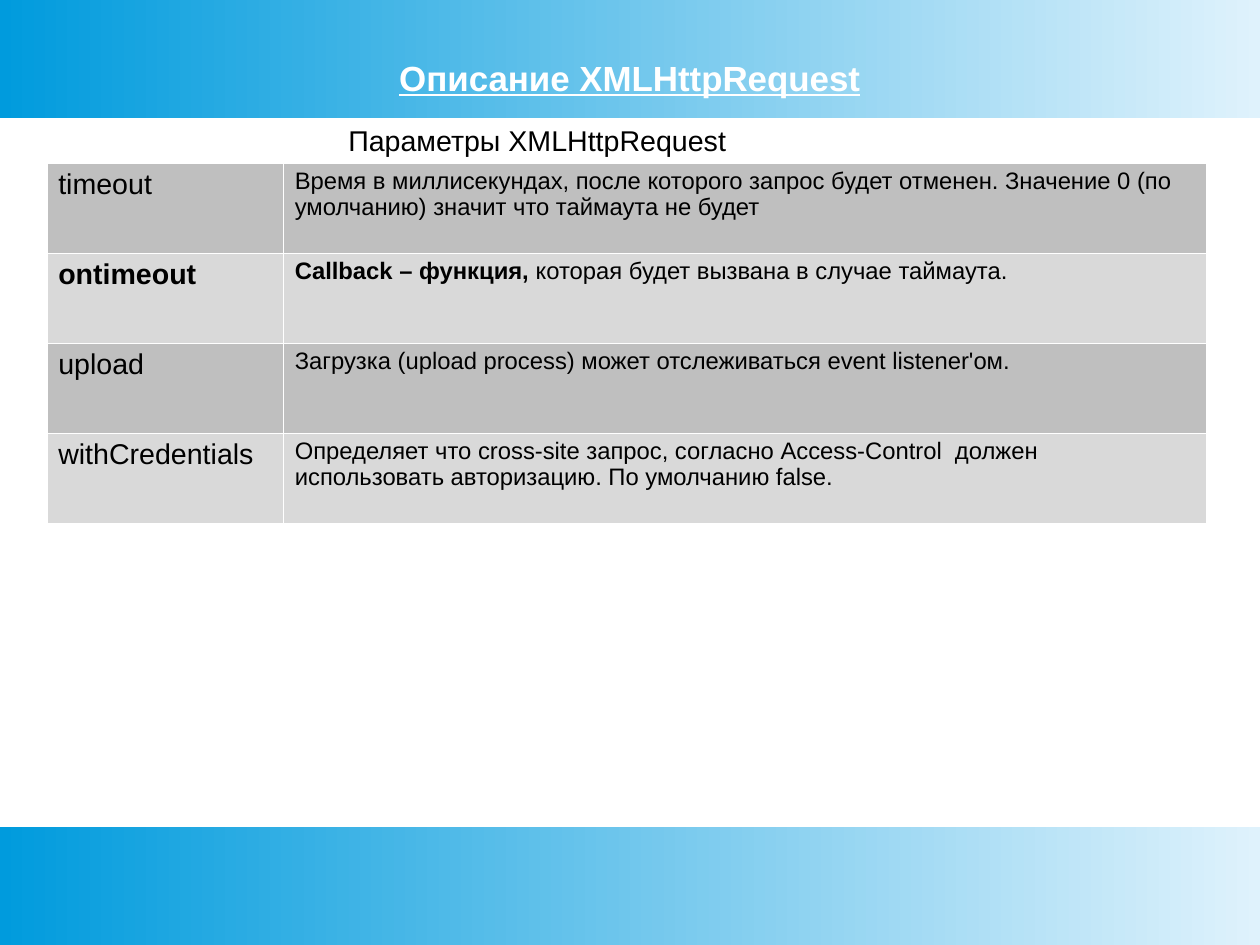
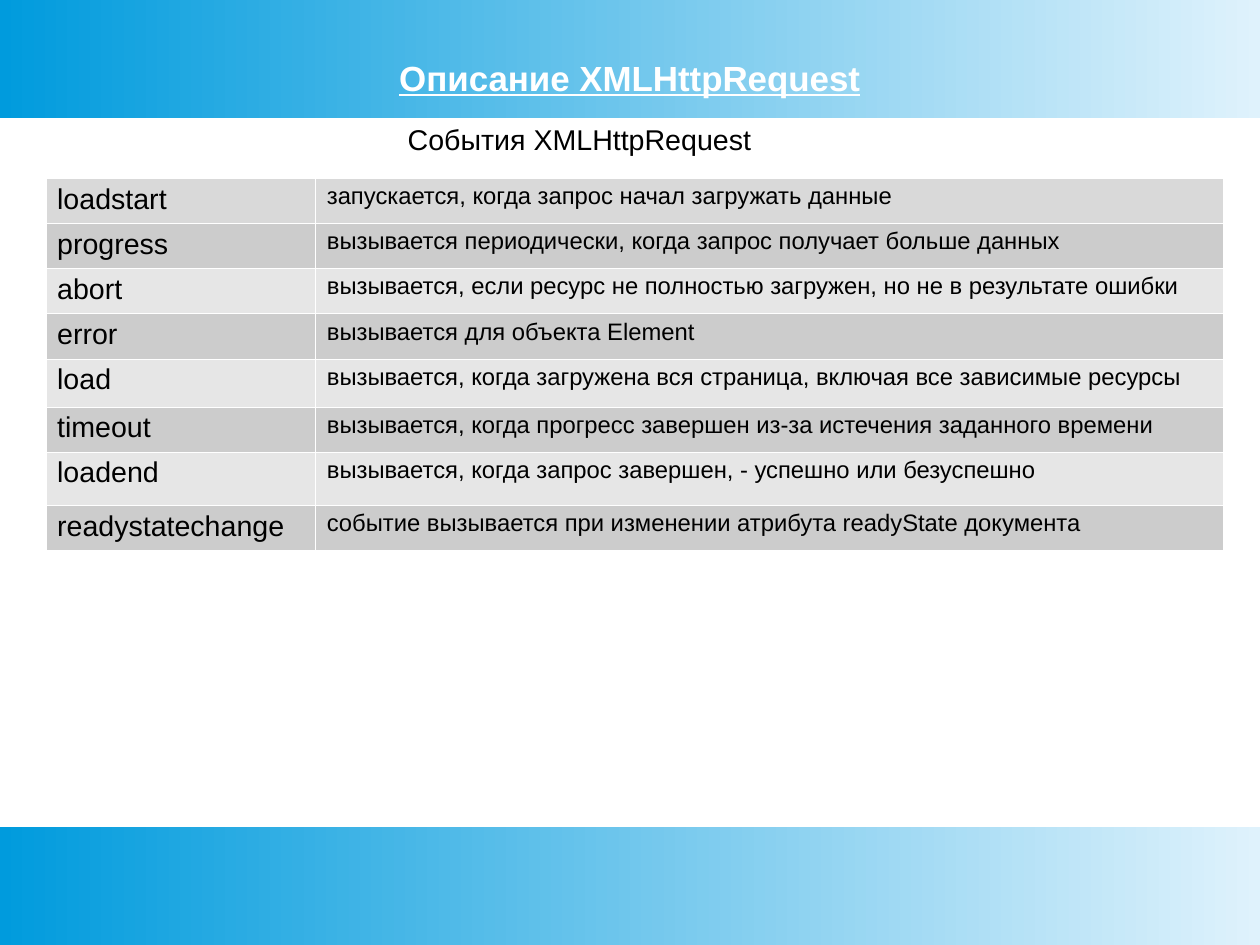
"""Build two slides describing the parameters and events of XMLHttpRequest."""
import lxml.etree
import pptx
import pptx.dml.color
import pptx.enum.shapes
import pptx.enum.text
import pptx.oxml.ns
import pptx.util

Inches = pptx.util.Inches
RGBColor = pptx.dml.color.RGBColor
ALIGN = pptx.enum.text.PP_ALIGN
ANCHOR = pptx.enum.text.MSO_ANCHOR

BLACK = RGBColor(0x00, 0x00, 0x00)
WHITE = RGBColor(0xFF, 0xFF, 0xFF)
BLUE = RGBColor(0x00, 0x9B, 0xDD)
PALE_BLUE = RGBColor(0xDF, 0xF2, 0xFC)
DARK_GREY = RGBColor(0xBF, 0xBF, 0xBF)
GREY = RGBColor(0xCC, 0xCC, 0xCC)
LIGHT_GREY = RGBColor(0xD9, 0xD9, 0xD9)
PALE_GREY = RGBColor(0xE6, 0xE6, 0xE6)

FONT = "Arial"
CM_PER_INCH = 2.54
WIDTH, HEIGHT = 28 / CM_PER_INCH, 21 / CM_PER_INCH
BAND_HEIGHT = 1.03
TITLE = "Описание XMLHttpRequest"
TITLE_BOX = (0.55, 0.33, 9.92, 0.69)
BORDER_WIDTH = pptx.util.Pt(0.06)

TOPICS = [
    {
        "heading": "Параметры XMLHttpRequest",
        "heading_box": (1.7, 1.03, 6, 0.38),
        "corner": (0.41, 1.43),
        "columns": (2.07, 8.07),
        "row_heights": [3.15 / 4] * 4,
        "first_fill": DARK_GREY,
        "fills": (DARK_GREY, LIGHT_GREY),
        "rows": [
            ("timeout", "Время в миллисекундах, после которого запрос будет отменен. "
                        "Значение 0 (по умолчанию) значит что таймаута не будет"),
            ([("ontimeout", True)],
             [("Callback – функция, ", True),
              ("которая будет вызвана в случае таймаута.", False)]),
            ("upload", "Загрузка (upload process) может отслеживаться event listener'ом."),
            ("withCredentials", "Определяет что cross-site запрос, согласно Access-Control  должен "
                                "использовать авторизацию. По умолчанию false."),
        ],
    },
    {
        "heading": "События XMLHttpRequest",
        "heading_box": (2.52, 1.02, 5.1, 0.38),
        "corner": (0.4, 1.56),
        "columns": (2.36, 7.94),
        "row_heights": [0.38, 0.38, 0.38, 0.38, 0.42, 0.38, 0.47, 0.38],
        "first_fill": LIGHT_GREY,
        "fills": (PALE_GREY, GREY),
        "rows": [
            ("loadstart", "запускается, когда запрос начал загружать данные"),
            ("progress", "вызывается периодически, когда запрос получает больше данных"),
            ("abort", "вызывается, если ресурс не полностью загружен, но не в результате ошибки"),
            ("error", "вызывается для объекта Element"),
            ("load", "вызывается, когда загружена вся страница, включая все зависимые ресурсы"),
            ("timeout", "вызывается, когда прогресс завершен из-за истечения заданного времени"),
            ("loadend", "вызывается, когда запрос завершен, - успешно или безуспешно"),
            ("readystatechange", "событие вызывается при изменении атрибута readyState документа"),
        ],
    },
]


def write_text(frame, text, size=18, color=BLACK, bold=False, underline=False,
               align=ALIGN.LEFT, spacing=None):
    """Write a string, or a list of (string, bold) runs, as one paragraph."""
    frame.word_wrap = True
    paragraph = frame.paragraphs[0]
    paragraph.alignment = align
    paragraph.line_spacing = spacing
    for words, is_bold in [(text, bold)] if isinstance(text, str) else text:
        run = paragraph.add_run()
        run.text = words
        run.font.name = FONT
        run.font.size = pptx.util.Pt(size)
        run.font.bold = is_bold
        run.font.underline = underline
        run.font.color.rgb = color


def add_box(slide, box):
    """Add an empty text box and return its frame."""
    return slide.shapes.add_textbox(*map(Inches, box)).text_frame


def put_bands_on_layout(layout, slide):
    """Draw the top and bottom bands and move them to the shared layout."""
    for placeholder in list(layout.placeholders):
        placeholder.element.getparent().remove(placeholder.element)
    for top in (0, HEIGHT - BAND_HEIGHT):
        band = slide.shapes.add_shape(
            pptx.enum.shapes.MSO_SHAPE.RECTANGLE,
            0, Inches(top), Inches(WIDTH), Inches(BAND_HEIGHT))
        band.shadow.inherit = False
        band.line.fill.background()
        band.fill.gradient()
        band.fill.gradient_angle = 180
        for stop, color in zip(band.fill.gradient_stops, (PALE_BLUE, BLUE)):
            stop.color.rgb = color
        layout.element.cSld.spTree.append(band.element)


def add_borders(cell):
    """Give a cell thin white borders on all sides."""
    qn = pptx.oxml.ns.qn
    properties = cell._tc.get_or_add_tcPr()
    for side in ("a:lnL", "a:lnR", "a:lnT", "a:lnB"):
        line = lxml.etree.SubElement(properties, qn(side), w=str(int(BORDER_WIDTH)))
        fill = lxml.etree.SubElement(line, qn("a:solidFill"))
        lxml.etree.SubElement(fill, qn("a:srgbClr"), val=str(WHITE))


def add_topic_table(slide, topic):
    """Add the table of names and descriptions."""
    columns, heights = topic["columns"], topic["row_heights"]
    box = (*topic["corner"], sum(columns), sum(heights))
    table = slide.shapes.add_table(len(heights), len(columns), *map(Inches, box)).table
    table.first_row = False
    table.horz_banding = False
    for column, width in zip(table.columns, columns):
        column.width = Inches(width)
    for index, (row, height) in enumerate(zip(table.rows, heights)):
        row.height = Inches(height)
        color = topic["fills"][index % 2] if index else topic["first_fill"]
        for cell, text, size in zip(row.cells, topic["rows"][index], (18, 15)):
            add_borders(cell)
            cell.fill.solid()
            cell.fill.fore_color.rgb = color
            write_text(cell.text_frame, text, size=size, spacing=0.98)


def main():
    """Create and save the presentation."""
    deck = pptx.Presentation()
    deck.slide_width, deck.slide_height = Inches(WIDTH), Inches(HEIGHT)
    blank = deck.slide_layouts[6]
    slides = [deck.slides.add_slide(blank) for _ in TOPICS]
    put_bands_on_layout(blank, slides[0])
    for slide, topic in zip(slides, TOPICS):
        add_topic_table(slide, topic)
        write_text(add_box(slide, topic["heading_box"]), topic["heading"], align=ALIGN.CENTER)
        title = add_box(slide, TITLE_BOX)
        title.margin_left = title.margin_right = title.margin_top = title.margin_bottom = 0
        title.vertical_anchor = ANCHOR.MIDDLE
        write_text(title, TITLE, size=22, color=WHITE, bold=True, underline=True,
                   align=ALIGN.CENTER)
    deck.save("out.pptx")


if __name__ == "__main__":
    main()
